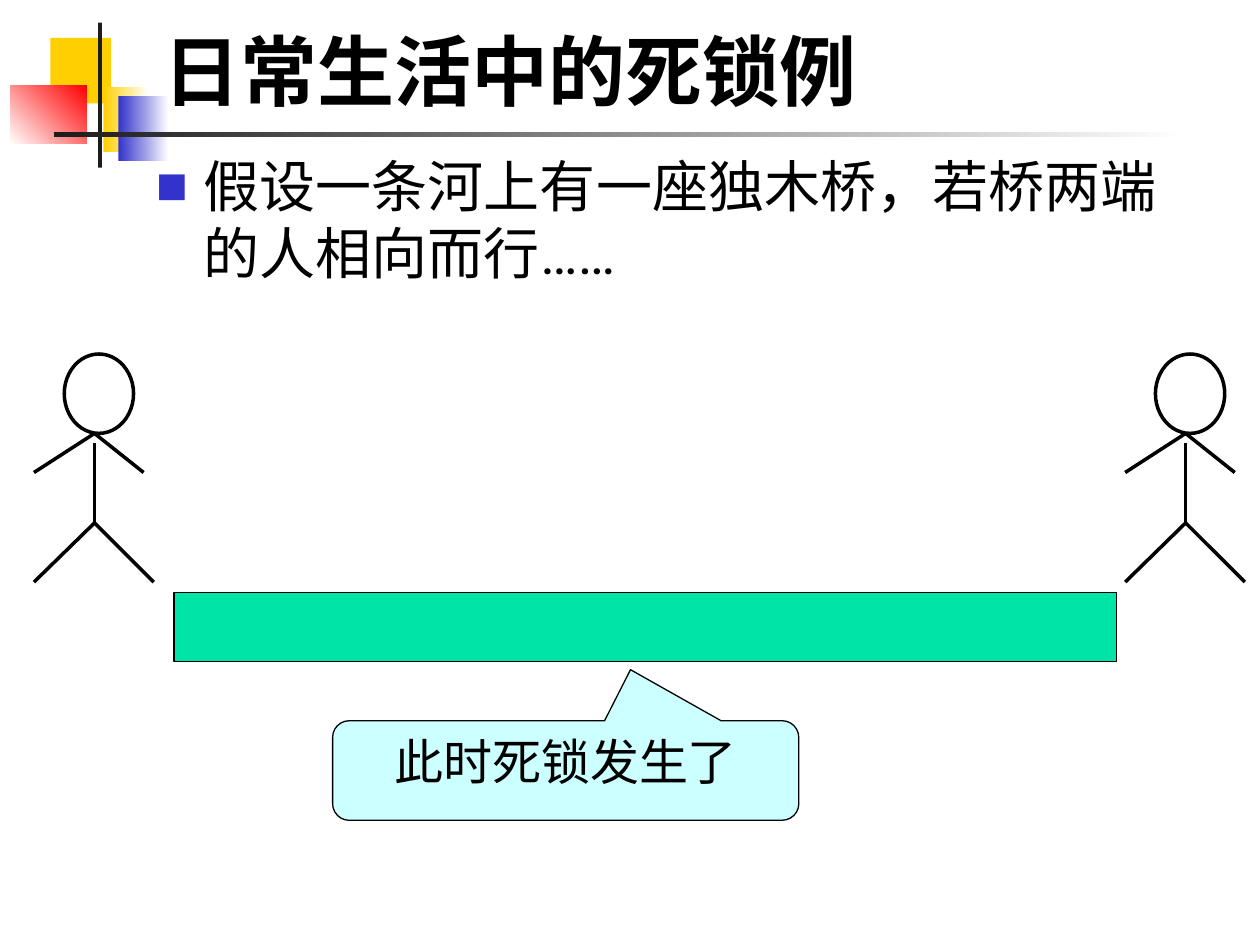
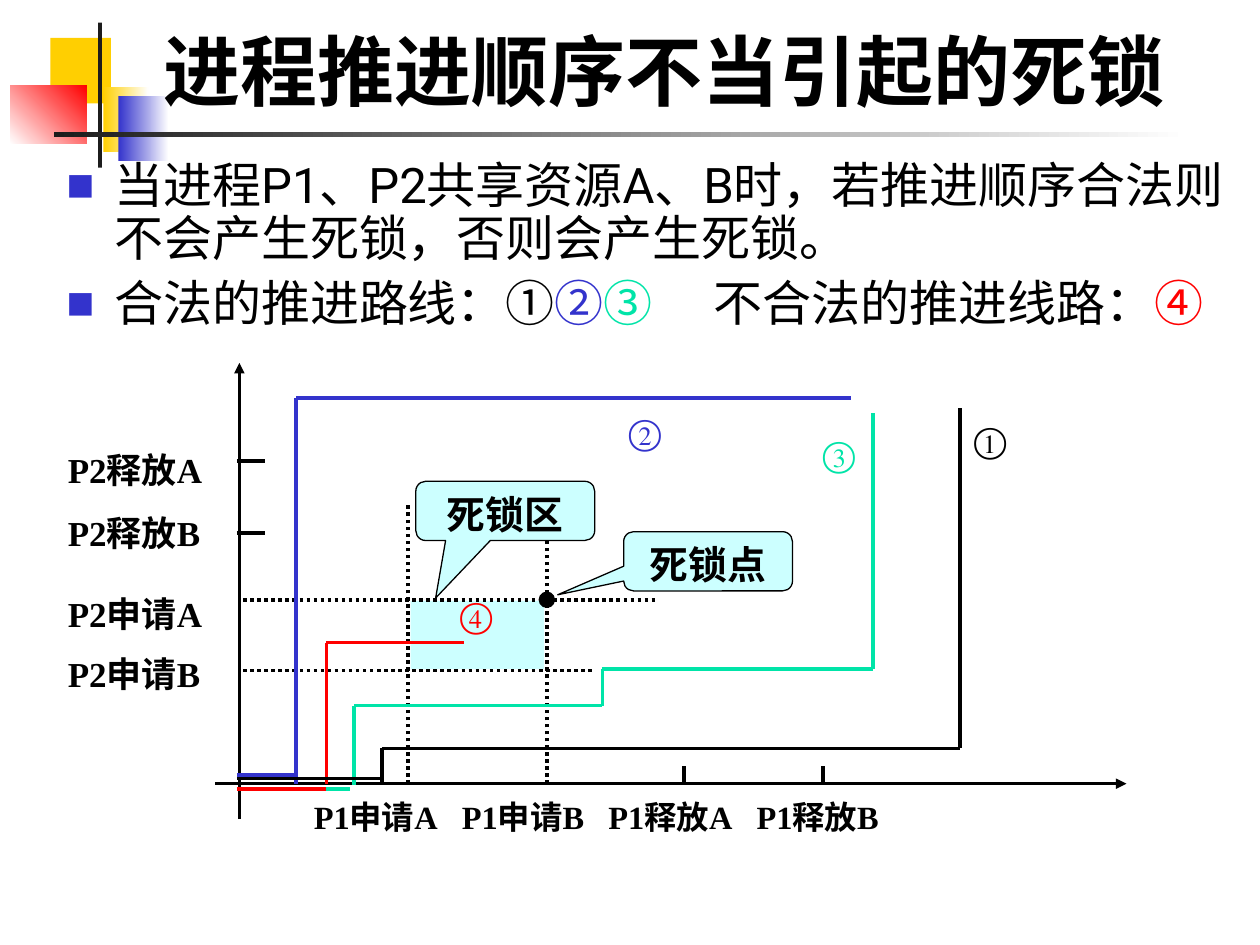
from itertools import pairwise

from lxml import etree
from pptx import Presentation
from pptx.dml.color import RGBColor
from pptx.enum.dml import MSO_LINE
from pptx.enum.shapes import MSO_CONNECTOR, MSO_SHAPE
from pptx.enum.text import MSO_ANCHOR, PP_ALIGN
from pptx.oxml.ns import qn
from pptx.util import Inches, Pt

BLACK = RGBColor(0x00, 0x00, 0x00)
WHITE = RGBColor(0xFF, 0xFF, 0xFF)
CHARCOAL = RGBColor(0x1C, 0x1C, 0x1C)
YELLOW = RGBColor(0xFF, 0xCF, 0x01)
BLUE = RGBColor(0x33, 0x33, 0xCC)
RED = RGBColor(0xFF, 0x00, 0x00)
GREEN = RGBColor(0x00, 0xE4, 0xA8)
PALE_CYAN = RGBColor(0xCC, 0xFF, 0xFF)

SANS = "Roboto"
SERIF = "Times New Roman"
RECTANGLE = MSO_SHAPE.RECTANGLE
OVAL = MSO_SHAPE.OVAL
CALLOUT = MSO_SHAPE.ROUNDED_RECTANGULAR_CALLOUT
STRAIGHT = MSO_CONNECTOR.STRAIGHT
DOTTED = MSO_LINE.ROUND_DOT
TOP = MSO_ANCHOR.TOP
BOTTOM = MSO_ANCHOR.BOTTOM
LEFT = PP_ALIGN.LEFT
CENTER = PP_ALIGN.CENTER
JUSTIFY = PP_ALIGN.JUSTIFY

FRAME = [
    ((0.4, 0.3, 0.48, 0.52), YELLOW, None, 0),
    ((0.82, 0.69, 0.36, 0.52), YELLOW, WHITE, 0),
    ((0.94, 0.76, 0.4, 0.52), BLUE, WHITE, 0),
    ((0.08, 0.68, 0.61, 0.46), WHITE, RED, 45),
    ((0.78, 0.18, 0.03, 1.15), CHARCOAL, None, 0),
    ((0.43, 1.05, 9, 0.04), CHARCOAL, WHITE, 0),
]


class SlideBuilder:
    def __init__(self, presentation):
        self.presentation = presentation
        self.slide = None
        self.shapes = None

    def start(self, title):
        self.slide = self.presentation.slides.add_slide(self.presentation.slide_layouts[6])
        self.shapes = self.slide.shapes
        for box, color, end_color, angle in FRAME:
            self.shape(RECTANGLE, box, color, end_color=end_color, angle=angle)
        self.text((1.2, 0.17, 8.52, 0.8), [[(title, {})]], 44, bold=True, anchor=BOTTOM)

    def shape(self, kind, box, fill=None, line=None, width=0.75, end_color=None, angle=0):
        shape = self.shapes.add_shape(kind, *map(Inches, box))
        shape.shadow.inherit = False
        if fill is None:
            shape.fill.background()
        elif end_color is None:
            shape.fill.solid()
            shape.fill.fore_color.rgb = fill
        else:
            shape.fill.gradient()
            shape.fill.gradient_angle = angle
            for stop, color in zip(shape.fill.gradient_stops, (fill, end_color)):
                stop.color.rgb = color
        if line is None:
            shape.line.fill.background()
        else:
            shape.line.color.rgb = line
            shape.line.width = Pt(width)
        return shape

    def line(self, start, end, color=BLACK, dash=None, arrow=False):
        connector = self.shapes.add_connector(STRAIGHT, *map(Inches, (*start, *end)))
        connector.line.color.rgb = color
        connector.line.width = Pt(2)
        if dash is not None:
            connector.line.dash_style = dash
        if arrow:
            outline = connector.line._get_or_add_ln()
            etree.SubElement(outline, qn("a:tailEnd"), type="triangle")
        etree.SubElement(connector._element.spPr, qn("a:effectLst"))

    def route(self, points, color=BLACK):
        for start, end in pairwise(points):
            self.line(start, end, color)

    def text(self, box, paragraphs, size, inset=(0.1, 0.05), anchor=TOP, **style):
        text_box = self.shapes.add_textbox(*map(Inches, box))
        self.fill_text(text_box.text_frame, paragraphs, size, inset, anchor, **style)

    def fill_text(self, frame, paragraphs, size, inset=(0.1, 0.05), anchor=TOP,
                  font=SANS, bold=False, align=LEFT, spacing=None, gaps=(), bullet=False):
        horizontal, vertical = map(Inches, inset)
        frame_format = {
            "word_wrap": True, "vertical_anchor": anchor,
            "margin_left": horizontal, "margin_right": horizontal,
            "margin_top": vertical, "margin_bottom": vertical,
        }
        for name, value in frame_format.items():
            setattr(frame, name, value)
        for index, runs in enumerate(paragraphs):
            paragraph = frame.paragraphs[0] if index == 0 else frame.add_paragraph()
            paragraph.alignment = align
            paragraph.line_spacing = spacing
            if gaps:
                paragraph.space_before = Pt(gaps[index])
            if bullet:
                self.bullet(paragraph)
            for content, changes in runs:
                self.run(paragraph, content, {
                    "size": size, "name": font, "bold": bold, "color": BLACK, **changes})

    def run(self, paragraph, content, style):
        run = paragraph.add_run()
        run.text = content
        font_format = {"size": Pt(style["size"]), "name": style["name"], "bold": style["bold"]}
        for name, value in font_format.items():
            setattr(run.font, name, value)
        run.font.color.rgb = style["color"]
        properties = run._r.get_or_add_rPr()
        etree.SubElement(properties, qn("a:ea"), typeface=SANS)
        if "tracking" in style:
            properties.set("spc", str(int(style["tracking"] * 100)))

    def bullet(self, paragraph):
        properties = paragraph._p.get_or_add_pPr()
        properties.set("marL", str(Inches(0.38)))
        properties.set("indent", str(-Inches(0.38)))
        color = etree.SubElement(properties, qn("a:buClr"))
        etree.SubElement(color, qn("a:srgbClr"), val=str(BLUE))
        etree.SubElement(properties, qn("a:buSzPct"), val="60000")
        etree.SubElement(properties, qn("a:buFont"), typeface=SANS)
        etree.SubElement(properties, qn("a:buChar"), char="■")

    def callout(self, box, pointer, content, size, bold=False):
        shape = self.shape(CALLOUT, box, PALE_CYAN, BLACK)
        for index, value in enumerate((*pointer, 0.167)):
            shape.adjustments[index] = value
        self.fill_text(shape.text_frame, [[(content, {})]], size, bold=bold, align=CENTER)

    def person(self, left):
        self.shapes = self.slide.shapes.add_group_shape().shapes
        self.shape(OVAL, (left + 0.24, 2.81, 0.55, 0.63), line=BLACK, width=2)
        spine = left + 0.48
        self.route([(left, 3.75), (spine, 3.44), (left + 0.87, 3.75)])
        self.line((spine, 3.52), (spine, 4.15))
        self.route([(left, 4.62), (spine, 4.15), (left + 0.95, 4.62)])
        self.shapes = self.slide.shapes


def build_bridge_slide(builder):
    builder.start("日常生活中的死锁例")
    builder.shape(RECTANGLE, (1.38, 4.7, 7.48, 0.55), GREEN, BLACK)
    sentence = [("假设一条河上有一座独木桥，若桥两端的人相向而行", {}), ("……", {"name": SERIF})]
    builder.text((1.14, 1.15, 8.5, 1.34), [sentence], 32, gaps=[8], bullet=True)
    for left in (0.27, 8.93):
        builder.person(left)
    builder.callout((2.64, 5.72, 3.7, 0.79), (0.139, -1.013), "此时死锁发生了", 28)


def build_progress_slide(builder):
    builder.start("进程推进顺序不当引起的死锁")
    rules = [
        [("当进程P1、P2共享资源A、B时，若推进顺序合法则不会产生死锁，否则会产生死锁。", {})],
        [("合法的推进路线：①", {}), ("②", {"color": BLUE}), ("③", {"color": GREEN}),
         (" ", {"tracking": 28}), ("不合法的推进线路：", {}), ("④", {"color": RED})],
    ]
    builder.text((0.43, 1.23, 9.44, 1.5), rules, 28, spacing=0.9, gaps=[7, 7], bullet=True)

    builder.shape(RECTANGLE, (3.26, 4.77, 1.06, 0.54), PALE_CYAN)
    builder.line((1.9, 6.5), (1.9, 2.88), arrow=True)
    builder.line((1.71, 6.22), (8.94, 6.22), arrow=True)

    steps = ["P2释放A", "P2释放B", "P2申请A", "P2申请B"]
    builder.text((0.44, 3.51, 1.51, 2.26), [[(step, {})] for step in steps], 20,
                 font=SERIF, bold=True, align=JUSTIFY, gaps=[0, 12, 22.3, 10.3])
    axis_runs = [("P1申请A", {})]
    for step in ("P1申请B", "P1释放A", "P1释放B"):
        axis_runs += [(" ", {"tracking": 9.25}), (step, {})]
    builder.text((2.49, 6.36, 5.22, 0.32), [axis_runs], 18.5, (0, 0),
                 font=SERIF, bold=True, align=JUSTIFY, spacing=0.9)

    for x in (3.24, 4.34):
        builder.line((x, 6.22), (x, 4.01), dash=DOTTED)
    for x in (5.43, 6.53):
        builder.line((x, 6.22), (x, 6.08))
    for y, right in ((5.32, 4.72), (4.76, 5.21)):
        builder.line((1.93, y), (right, y), dash=DOTTED)
    for y in (4.23, 3.66):
        builder.line((1.88, y), (2.1, y))

    routes = [
        ([(3.03, 6.21), (3.03, 5.94), (7.62, 5.94), (7.62, 3.24)], BLACK, "①", (7.73, 3.32)),
        ([(2.35, 6.22), (2.35, 3.16), (6.75, 3.16)], BLUE, "②", (4.99, 3.26)),
        ([(2.81, 6.23), (2.81, 5.6), (4.78, 5.6), (4.78, 5.31), (6.93, 5.31), (6.93, 3.28)],
         GREEN, "③", (6.53, 3.43)),
        ([(2.59, 6.22), (2.59, 5.1), (3.68, 5.1)], RED, "④", (3.65, 4.71)),
    ]
    for points, color, number, position in routes:
        builder.route(points, color)
        builder.text((*position, 0.5, 0.41), [[(number, {"color": color})]], 20, (0, 0),
                     font=SERIF, align=JUSTIFY)

    builder.shape(OVAL, (4.28, 4.7, 0.12, 0.12), BLACK, BLACK)
    builder.callout((3.3, 3.82, 1.42, 0.47), (-0.389, 1.471), "死锁区", 22.2, bold=True)
    builder.callout((4.95, 4.22, 1.34, 0.47), (-0.891, 0.566), "死锁点", 22.2, bold=True)

    starts = [(2.78, 6.26, GREEN), (2.59, 6.26, RED), (3.02, 6.18, BLACK), (2.35, 6.15, BLUE)]
    for right, y, color in starts:
        builder.line((1.88, y), (right, y), color)


def main():
    presentation = Presentation()
    presentation.slide_width = Inches(10)
    presentation.slide_height = Inches(7.5)
    builder = SlideBuilder(presentation)
    build_bridge_slide(builder)
    build_progress_slide(builder)
    presentation.save("out.pptx")


if __name__ == "__main__":
    main()
